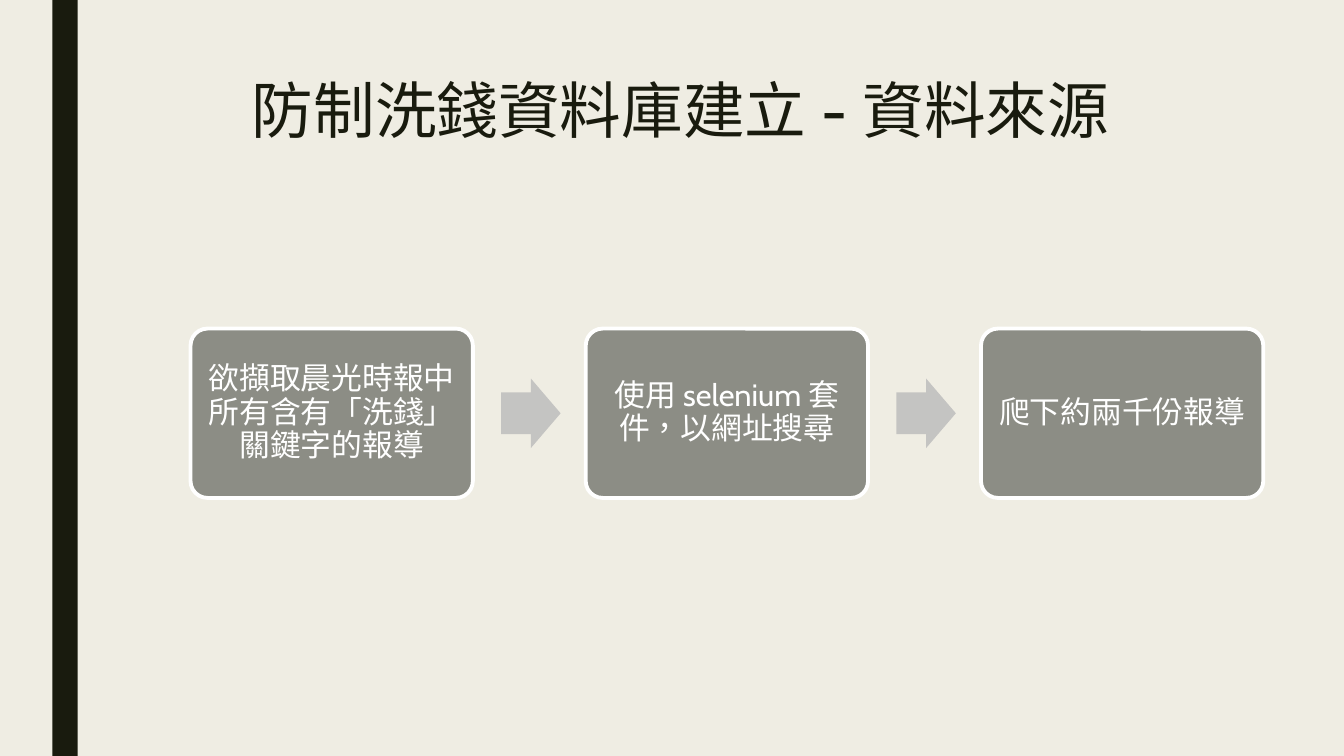
from pptx import Presentation
from pptx import util as u
from pptx.dml.color import RGBColor
from pptx.enum import lang, shapes, text

WIDE, HIGH = 13.33, 7.5
HUES = {"back": "EFEDE3", "dark": "191B0E", "card": "8C8D85",
        "arrow": "C4C4C2", "white": "FFFFFF"}
LEFT, STEP, MID = 1.89, 3.92, 4.1
CARD = (2.8, 1.68)
ARROW = (0.59, 0.69)
STEPS = ["欲擷取晨光時報中所有含有「洗錢」關鍵字的報導",
         "使用selenium套件，以網址搜尋",
         "爬下約兩千份報導"]


def tint(name):
    return RGBColor.from_string(HUES[name])


def put(obj, values):
    for key, value in values.items():
        setattr(obj, key, value)


def block(slide, kind, spot, hue, bends=()):
    form = slide.shapes.add_shape(kind, *map(u.Inches, spot))
    form.shadow.inherit = False
    form.fill.solid()
    form.fill.fore_color.rgb = tint(hue)
    form.line.fill.background()
    for i, bend in enumerate(bends):
        form.adjustments[i] = bend
    return form


def write(form, words, size, hue, inset, anchor, pitch):
    side, top = map(u.Inches, inset)
    frame = form.text_frame
    put(frame, {"word_wrap": True, "vertical_anchor": anchor,
                "margin_left": side, "margin_right": side,
                "margin_top": top, "margin_bottom": top})
    para = frame.paragraphs[0]
    put(para, {"alignment": text.PP_ALIGN.CENTER, "line_spacing": pitch})
    run = para.add_run()
    run.text = words
    put(run.font, {"name": "Cabin", "size": u.Pt(size),
                   "language_id": lang.MSO_LANGUAGE_ID.TRADITIONAL_CHINESE})
    run.font.color.rgb = tint(hue)


def title(slide, words):
    box = slide.shapes.add_textbox(*map(u.Inches, (1.5, 0.75, 10.5, 1.62)))
    write(box, words, 44, "dark", (0.1, 0.05), text.MSO_ANCHOR.TOP, 0.89)


def card(slide, left, words):
    spot = (left, MID - CARD[1] / 2, *CARD)
    form = block(slide, shapes.MSO_SHAPE.ROUNDED_RECTANGLE, spot, "card", [0.1])
    form.line.color.rgb = tint("white")
    form.line.width = u.Pt(2.75)
    write(form, words, 22, "white", (0.09, 0.09), text.MSO_ANCHOR.MIDDLE, 0.9)


def arrow(slide, left):
    spot = (left, MID - ARROW[1] / 2, *ARROW)
    block(slide, shapes.MSO_SHAPE.RIGHT_ARROW, spot, "arrow", [0.6, 0.5])


def main():
    deck = Presentation()
    put(deck, {"slide_width": u.Inches(WIDE), "slide_height": u.Inches(HIGH)})
    slide = deck.slides.add_slide(deck.slide_layouts[6])
    slide.background.fill.solid()
    slide.background.fill.fore_color.rgb = tint("back")
    block(slide, shapes.MSO_SHAPE.RECTANGLE, (0.52, 0, 0.25, HIGH), "dark")
    title(slide, "防制洗錢資料庫建立-資料來源")
    for i, words in enumerate(STEPS):
        left = LEFT + i * STEP
        card(slide, left, words)
        if i < len(STEPS) - 1:
            arrow(slide, left + CARD[0] + 0.28)
    deck.save("out.pptx")


if __name__ == "__main__":
    main()
